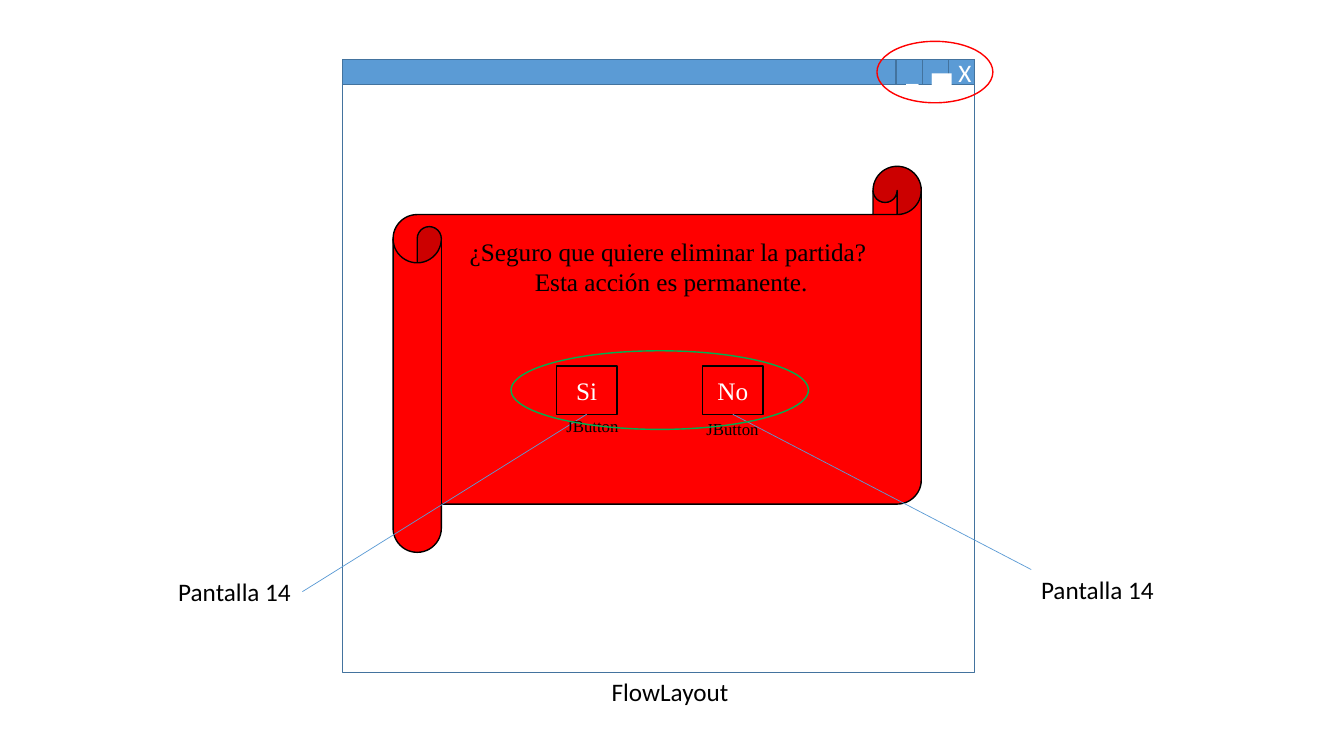
"""Build the wireframe slide of a dialog that confirms deleting a game."""
from dataclasses import dataclass
from typing import Optional

from lxml import etree
from pptx import Presentation
from pptx.dml.color import RGBColor
from pptx.enum.shapes import MSO_CONNECTOR, MSO_SHAPE
from pptx.enum.text import MSO_ANCHOR, MSO_AUTO_SIZE, PP_ALIGN
from pptx.oxml.ns import qn
from pptx.util import Pt

RECT = MSO_SHAPE.RECTANGLE
OVAL = MSO_SHAPE.OVAL
SCROLL = MSO_SHAPE.HORIZONTAL_SCROLL
LINE = MSO_CONNECTOR.STRAIGHT
MIDDLE = MSO_ANCHOR.MIDDLE
GROW = MSO_AUTO_SIZE.SHAPE_TO_FIT_TEXT
LEFT, CENTER = PP_ALIGN.LEFT, PP_ALIGN.CENTER
BOTTOM, RIGHT = 2, 3


@dataclass(frozen=True)
class Theme:
    white: str = "FFFFFF"
    black: str = "000000"
    blue: str = "5B9BD5"
    navy: str = "43739E"
    red: str = "FF0000"
    green: str = "00B050"
    sans: str = "Calibri"
    serif: str = "Times New Roman"
    body: float = 18
    small: float = 12
    edge: float = 1
    thin: float = 0.5


@dataclass(frozen=True)
class Box:
    x: float
    y: float
    w: float
    h: float


@dataclass(frozen=True)
class Panel:
    box: Box
    fill: Optional[str]
    line: str
    kind: int = RECT
    text: str = ""
    font: str = ""


@dataclass(frozen=True)
class Label:
    box: Box
    text: str
    font: str
    size: float
    align: int = LEFT


THEME = Theme()
WIN_X, WIN_W = 244.8, 451.44
BAR_Y, BAR_H = 42.48, 18
ICON_W = 18.72
KEY_Y, KEY_W, KEY_H = 261.36, 43.2, 34.56
TAG_W, TAG_H = 95.76, 28.8


def place(box: Box) -> list:
    """Turn a box into lengths."""
    return [Pt(n) for n in (box.x, box.y, box.w, box.h)]


def write(frame, text: str, font: str, size: float, color: str, align: int) -> None:
    """Fill a text frame, one paragraph per line."""
    frame.text = text
    for para in frame.paragraphs:
        para.alignment = align
        para.font.name = font
        para.font.size = Pt(size)
        para.font.color.rgb = RGBColor.from_string(color)


def draw_panel(slide, panel: Panel):
    """Draw a preset shape with its text."""
    shape = slide.shapes.add_shape(panel.kind, *place(panel.box))
    shape.shadow.inherit = False
    if panel.fill:
        shape.fill.solid()
        shape.fill.fore_color.rgb = RGBColor.from_string(panel.fill)
    else:
        shape.fill.background()
    shape.line.color.rgb = RGBColor.from_string(panel.line)
    shape.line.width = Pt(THEME.edge)
    if panel.text:
        shape.text_frame.vertical_anchor = MIDDLE
        write(shape.text_frame, panel.text, panel.font, THEME.body, THEME.white, CENTER)
    return shape


def draw_label(slide, label: Label):
    """Draw a text box that fits its text."""
    shape = slide.shapes.add_textbox(*place(label.box))
    frame = shape.text_frame
    frame.word_wrap = False
    frame.auto_size = GROW
    write(frame, label.text, label.font, label.size, THEME.black, label.align)
    return shape


def draw_link(slide, key, x: float, y: float):
    """Draw a thin line from the bottom of a button to a point."""
    link = slide.shapes.add_connector(LINE, 0, 0, Pt(x), Pt(y))
    link.begin_connect(key, BOTTOM)
    link.line.color.rgb = RGBColor.from_string(THEME.blue)
    link.line.width = Pt(THEME.thin)
    etree.SubElement(link._element.spPr, qn("a:effectLst"))
    return link


def main() -> None:
    """Build and save the slide."""
    deck = Presentation()
    deck.slide_width, deck.slide_height = Pt(960), Pt(540)
    slide = deck.slides.add_slide(deck.slide_layouts[6])
    t = THEME

    draw_panel(slide, Panel(Box(WIN_X, 60.48, WIN_W, 419.76), t.white, t.navy))
    draw_panel(slide, Panel(Box(WIN_X, BAR_Y, WIN_W, BAR_H), t.blue, t.navy))
    for i, sign in enumerate("X▄_", start=1):
        box = Box(WIN_X + WIN_W - i * ICON_W, BAR_Y, ICON_W, BAR_H)
        draw_panel(slide, Panel(box, t.blue, t.navy, text=sign, font=t.sans))

    draw_panel(slide, Panel(Box(280.8, 118.8, 377.28, 275.76), t.red, t.black, SCROLL))
    ask = "¿Seguro que quiere eliminar la partida? \nEsta acción es permanente."
    draw_label(slide, Label(Box(328.32, 164.88, 302.4, 51.12), ask, t.serif, t.body, CENTER))

    yes, no = [
        draw_panel(slide, Panel(Box(x, KEY_Y, KEY_W, KEY_H), t.red, t.black, text=word, font=t.serif))
        for x, word in ((397.44, "Si"), (501.84, "No"))
    ]
    tags = [
        draw_label(slide, Label(Box(x, y, TAG_W, TAG_H), "Pantalla 14", t.sans, t.body))
        for x, y in ((736.56, 406.8), (120.24, 408.24))
    ]
    draw_link(slide, no, 736.56, 406.8)
    draw_link(slide, yes, 216, 422.64).end_connect(tags[1], RIGHT)

    for label in (
        Label(Box(397.44, 293.76, 51.84, 21.6), "JButton", t.serif, t.small),
        Label(Box(497.52, 295.92, 51.84, 21.6), "JButton", t.serif, t.small),
        Label(Box(429.84, 479.52, 98.64, TAG_H), "FlowLayout", t.sans, t.body),
    ):
        draw_label(slide, label)

    for box, color in (
        (Box(626.4, 29.52, 82.8, 43.92), t.red),
        (Box(365.04, 250.56, 212.4, 56.16), t.green),
    ):
        draw_panel(slide, Panel(box, None, color, OVAL))

    deck.save("out.pptx")


if __name__ == "__main__":
    main()
